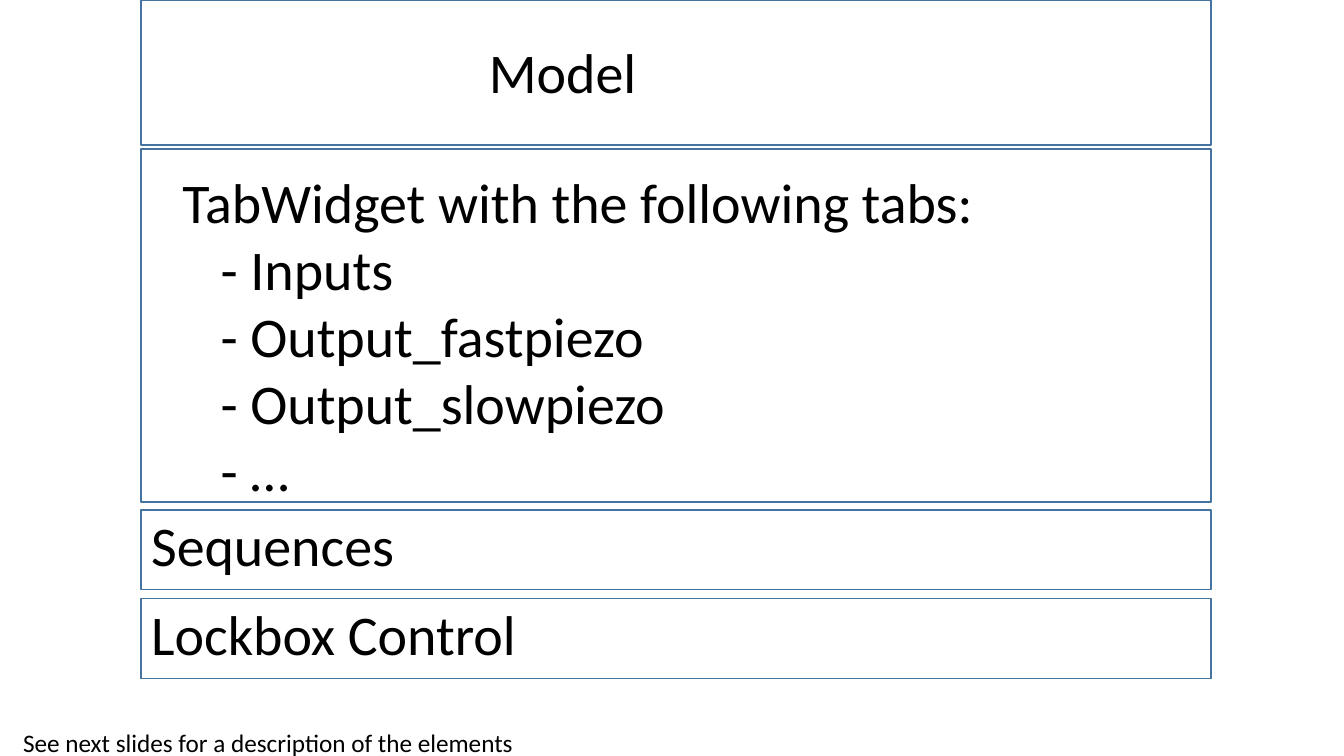
import pptx
import pptx.dml.color
import pptx.enum.shapes
import pptx.enum.text
import pptx.util

Inches = pptx.util.Inches
PANEL_LEFT = 1.4
PANEL_WIDTH = 10.61


def color(hex_value):
    return pptx.dml.color.RGBColor.from_string(hex_value)


def add_panel(slide, top, height):
    panel = slide.shapes.add_shape(
        pptx.enum.shapes.MSO_SHAPE.RECTANGLE,
        Inches(PANEL_LEFT), Inches(top), Inches(PANEL_WIDTH), Inches(height))
    panel.shadow.inherit = False
    panel.fill.background()
    panel.line.color.rgb = color("43739E")
    panel.line.width = pptx.util.Pt(1)


def add_label(slide, left, top, width, height, lines, size=40, indent=0.38):
    label = slide.shapes.add_textbox(
        Inches(left), Inches(top), Inches(width), Inches(height))
    frame = label.text_frame
    frame.word_wrap = True
    frame.auto_size = pptx.enum.text.MSO_AUTO_SIZE.SHAPE_TO_FIT_TEXT
    font_format = {"name": "Calibri", "size": pptx.util.Pt(size), "bold": False}
    for index, line in enumerate(lines):
        paragraph = frame.add_paragraph() if index else frame.paragraphs[0]
        if line.startswith("-"):
            paragraph._p.get_or_add_pPr().set("marL", str(Inches(indent)))
        run = paragraph.add_run()
        run.text = line
        for attribute, value in font_format.items():
            setattr(run.font, attribute, value)
        run.font.color.rgb = color("000000")


def main():
    presentation = pptx.Presentation()
    presentation.slide_width = Inches(13.33)
    presentation.slide_height = Inches(7.5)
    slide = presentation.slides.add_slide(presentation.slide_layouts[6])

    add_panel(slide, 0, 1.44)
    add_label(slide, 4.75, 0.32, 4.79, 0.77, ["Model"])

    tabs = ["Inputs", "Output_fastpiezo", "Output_slowpiezo", "…"]
    add_panel(slide, 1.48, 3.5)
    add_label(slide, 1.71, 1.61, 8.34, 3.47,
              ["TabWidget with the following tabs:"] + [f"- {tab}" for tab in tabs])

    for row, section in enumerate(["Sequences", "Lockbox Control"]):
        top = 5.06 + row * 0.88
        add_panel(slide, top, 0.79)
        add_label(slide, PANEL_LEFT, top - 0.04, 4.79, 0.77, [section])

    add_label(slide, 0.13, 7.17, 5.52, 0.4,
              ["See next slides for a description of the elements"], size=18)
    presentation.save("out.pptx")


main()
